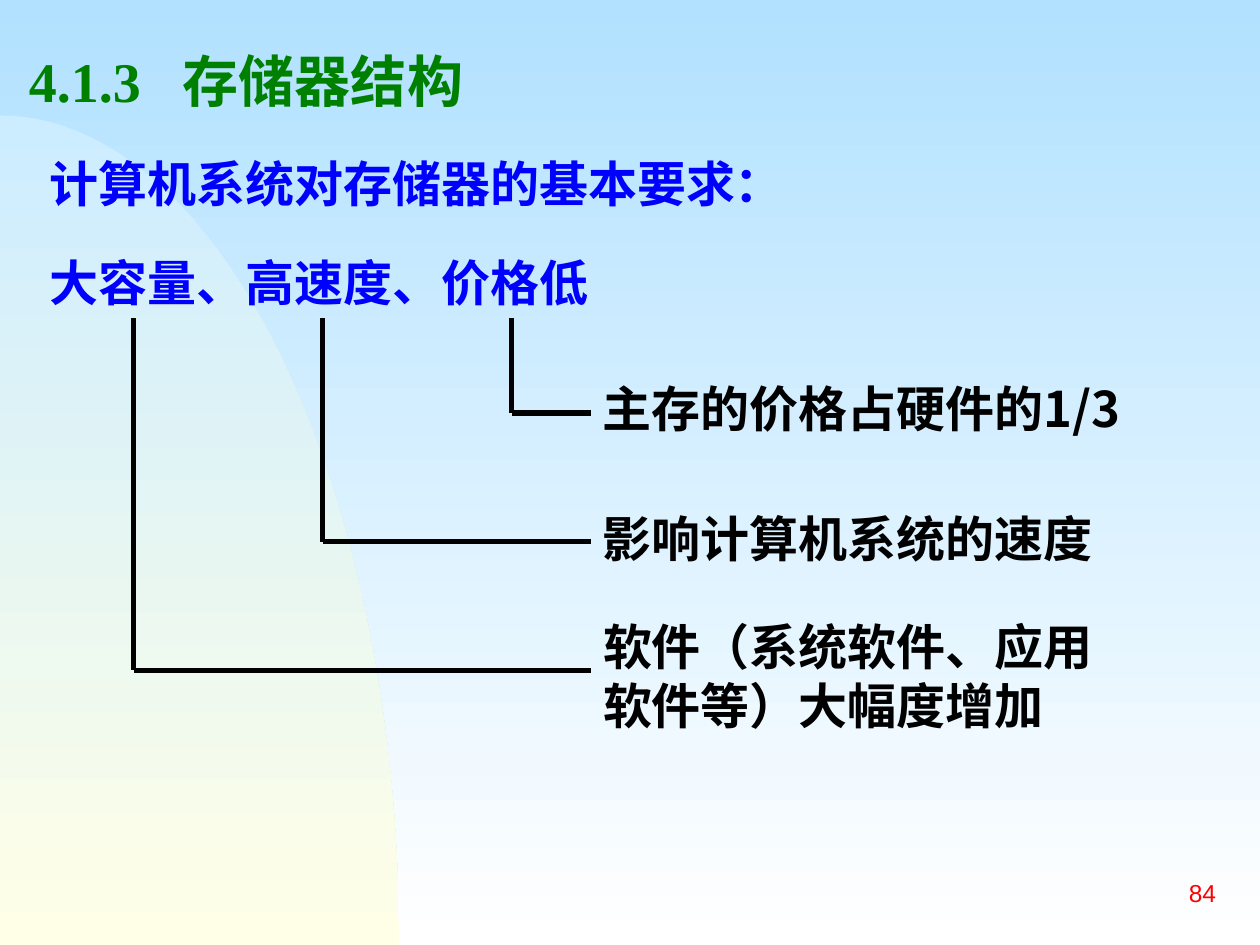
from math import cos, pi, sin

from lxml import etree
from pptx import Presentation
from pptx import util as u
from pptx.dml.color import RGBColor
from pptx.enum import shapes, text
from pptx.oxml import ns

SKY = RGBColor(0xB1, 0xE1, 0xFF)
WHITE = RGBColor(0xFF, 0xFF, 0xFF)
ICE = RGBColor(0xCC, 0xEC, 0xFF)
CREAM = RGBColor(0xFF, 0xFF, 0xE7)
GREEN = RGBColor(0x00, 0x80, 0x00)
BLUE = RGBColor(0x00, 0x00, 0xFF)
BLACK = RGBColor(0x00, 0x00, 0x00)
RED = RGBColor(0xFF, 0x00, 0x00)
SERIF, SANS, CJK = "Times New Roman", "Arial", "Noto Sans CJK SC"
WIDE, HIGH = 720, 540


class Page:
    def __init__(self, deck):
        self.slide = deck.slides.add_slide(deck.slide_layouts[6])
        self.items = self.slide.shapes
        self.stroke = u.Pt(3)

    def fade(self, fill, top, low):
        fill.gradient()
        fill.gradient_angle = 270
        for stop, color in zip(fill.gradient_stops, (top, low)):
            stop.color.rgb = color

    def curve(self, wide, high, top, low, steps=60):
        turns = [pi / 2 * i / steps for i in range(steps + 1)]
        points = [(u.Pt(wide * sin(t)), u.Pt(HIGH - high * cos(t))) for t in turns]
        form = self.items.build_freeform(*points[0])
        form.add_line_segments(points[1:] + [(0, u.Pt(HIGH))], close=True)
        shape = form.convert_to_shape()
        shape.shadow.inherit = False
        shape.line.fill.background()
        self.fade(shape.fill, top, low)

    def box(self, x, y, wide, high, middle=False):
        shape = self.items.add_textbox(*map(u.Pt, (x, y, wide, high)))
        frame = shape.text_frame
        frame.word_wrap = True
        frame.vertical_anchor = (
            text.MSO_ANCHOR.MIDDLE if middle else text.MSO_ANCHOR.TOP)
        return shape

    def tab(self, par, place):
        props = par._p.get_or_add_pPr()
        tabs = etree.SubElement(props, ns.qn("a:tabLst"))
        etree.SubElement(tabs, ns.qn("a:tab"), pos=str(u.Pt(place)), algn="l")

    def run(self, par, words, size, face, color, bold=True):
        run = par.add_run()
        run.text = words
        font = run.font
        font.size, font.name, font.bold = u.Pt(size), face, bold
        font.color.rgb = color
        east = etree.SubElement(run._r.get_or_add_rPr(), ns.qn("a:ea"))
        east.set("typeface", CJK)

    def line(self, x1, y1, x2, y2, end=None):
        line = self.items.add_connector(
            shapes.MSO_CONNECTOR.STRAIGHT, *map(u.Pt, (x1, y1, x2, y2)))
        line.line.width = self.stroke
        line.line.color.rgb = BLACK
        etree.SubElement(line._element.spPr, ns.qn("a:effectLst"))
        if end is not None:
            line.end_connect(end, 1)


def main():
    deck = Presentation()
    deck.slide_width, deck.slide_height = u.Pt(WIDE), u.Pt(HIGH)
    page = Page(deck)
    page.fade(page.slide.background.fill, SKY, WHITE)
    page.curve(228, 474, ICE, CREAM)

    number = page.box(552, 492, 150, 36, middle=True).text_frame.paragraphs[0]
    number.alignment = text.PP_ALIGN.RIGHT
    page.run(number, "84", 14, SANS, RED, bold=False)

    title = page.box(9.5, 21, 643, 42, middle=True).text_frame.paragraphs[0]
    title.line_spacing = 1.2
    page.tab(title, 88)
    page.run(title, "4.1.3\t存储器结构", 32, SERIF, GREEN)

    needs = page.box(21.5, 84, 659, 98).text_frame
    first, second = needs.paragraphs[0], needs.add_paragraph()
    first.space_after = u.Pt(10.5)
    second.space_before = u.Pt(12.5)
    page.run(first, "计算机系统对存储器的基本要求：", 28, SERIF, BLUE)
    page.run(second, "大容量、高速度、价格低", 28, SERIF, BLUE)

    left, top = 337.5, 182
    notes = [
        ("主存的价格占硬件的1/3", 213, 343),
        ("影响计算机系统的速度", 287, 343),
        ("软件（系统软件、应用软件等）大幅度增加", 349, 315),
    ]
    for i, (words, high, wide) in enumerate(notes):
        x, y = 292.5 - 108 * i, 236 + 73.5 * i
        note = page.box(left, high, wide, 2 * (y - high))
        page.run(note.text_frame.paragraphs[0], words, 28, CJK, BLACK)
        page.line(x, top, x, y)
        page.line(x, y, left, y, note)

    deck.save("out.pptx")


if __name__ == "__main__":
    main()
